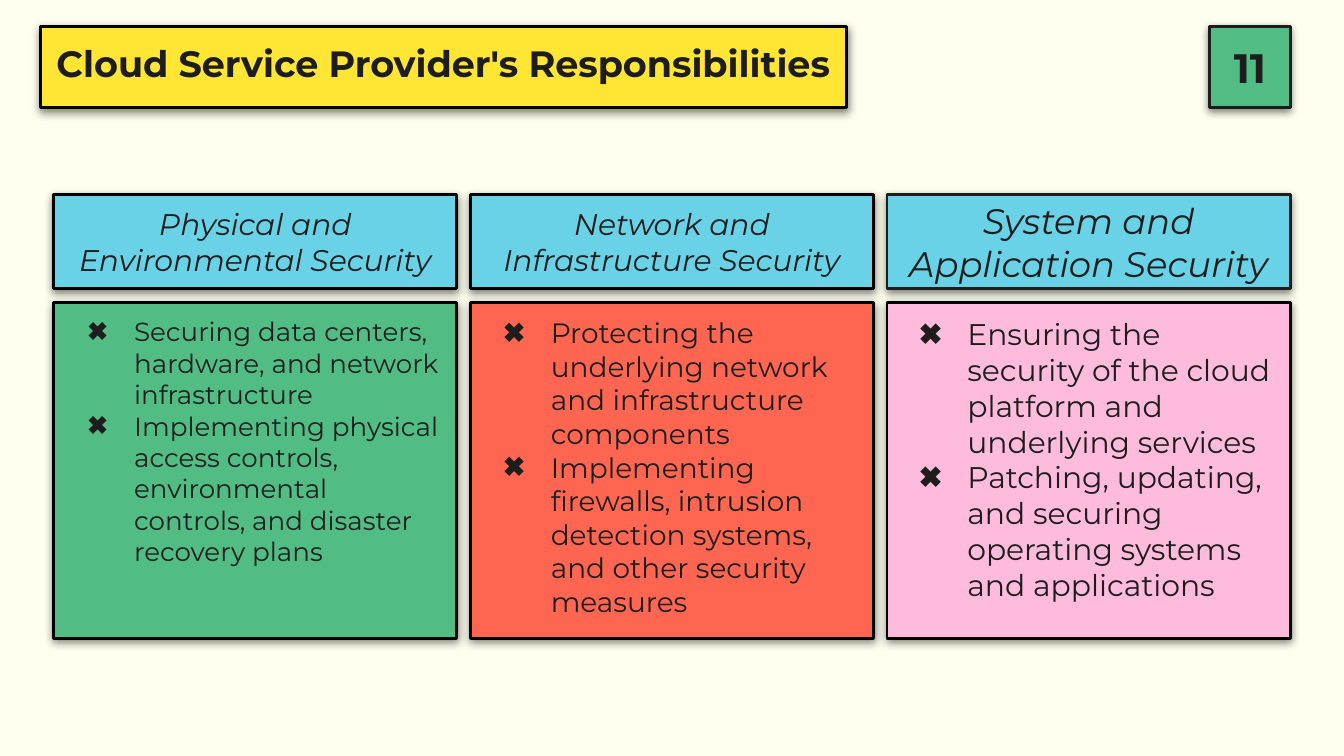
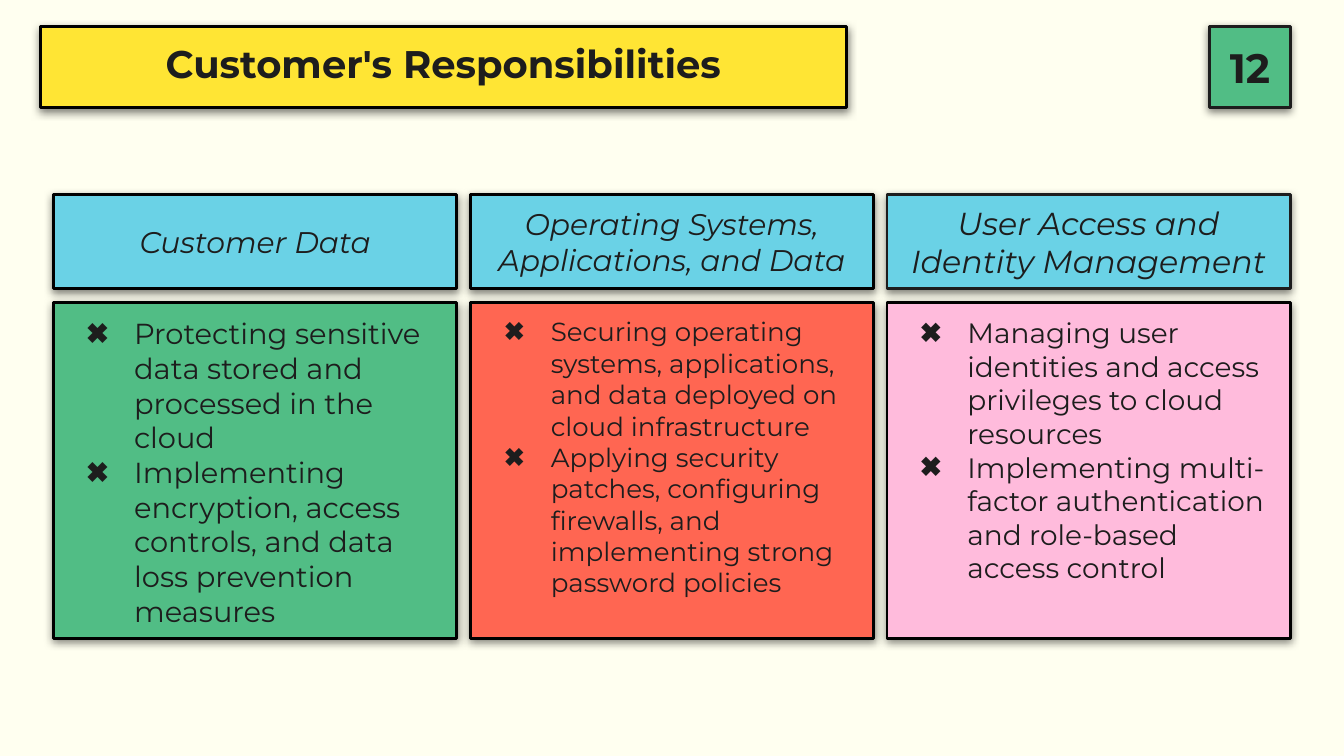
from dataclasses import dataclass

from lxml.etree import SubElement
from pptx import Presentation
from pptx.dml.color import RGBColor
from pptx.enum.shapes import MSO_SHAPE
from pptx.enum.text import MSO_ANCHOR, PP_ALIGN
from pptx.oxml.ns import qn
from pptx.util import Inches, Pt


@dataclass(frozen=True)
class Theme:
    font: str = "Montserrat"
    page: str = "FFFFF0"
    ink: str = "1D1D1D"
    edge: str = "000000"
    title: str = "FFE534"
    badge: str = "51BD85"
    head: str = "6AD2E6"
    cards: tuple = ("51BD85", "FF6652", "FFBBDC")
    head_edges: tuple = ("000000", "000000", "1D1D1D")
    badge_size: float = 22
    line: float = 1.5


THEME = Theme()
PAGE_WIDE = 10
PAGE_TALL = PAGE_WIDE * 9 / 16
LEFT, WIDE, GAP = 0.4, 3, 0.1
HEAD_TOP, HEAD_TALL, CARD_TALL = 1.45, 0.7, 2.5

# Each column: heading, heading size, points, point size
SLIDES = [
    ("11", "Cloud Service Provider's Responsibilities", 19.6, [
        ("Physical and Environmental Security", 16, [
            "Securing data centers, hardware, and network infrastructure",
            "Implementing physical access controls, environmental controls, "
            "and disaster recovery plans"], 14),
        ("Network and Infrastructure Security", 16, [
            "Protecting the underlying network and infrastructure components",
            "Implementing firewalls, intrusion detection systems, "
            "and other security measures"], 15),
        ("System and Application Security", 19, [
            "Ensuring the security of the cloud platform and underlying services",
            "Patching, updating, and securing operating systems "
            "and applications"], 16),
    ]),
    ("12", "Customer's Responsibilities", 20.6, [
        ("Customer Data", 16, [
            "Protecting sensitive data stored and processed in the cloud",
            "Implementing encryption, access controls, "
            "and data loss prevention measures"], 15.5),
        ("Operating Systems, Applications, and Data", 16, [
            "Securing operating systems, applications, and data deployed "
            "on cloud infrastructure",
            "Applying security patches, configuring firewalls, "
            "and implementing strong password policies"], 14),
        ("User Access and Identity Management", 17, [
            "Managing user identities and access privileges to cloud resources",
            "Implementing multi-factor authentication "
            "and role-based access control"], 15),
    ]),
]


def color(code):
    return RGBColor.from_string(code)


def add_shadow(shape):
    shape.shadow.inherit = False
    effects = shape.element.spPr.find(qn("a:effectLst"))
    outer = SubElement(effects, qn("a:outerShdw"), blurRad=str(Pt(4.5)),
                       dist=str(Pt(1.5)), dir="5400000", algn="bl", rotWithShape="0")
    black = SubElement(outer, qn("a:srgbClr"), val="000000")
    SubElement(black, qn("a:alpha"), val="50000")


def add_box(slide, area, fill, edge=THEME.edge):
    box = slide.shapes.add_shape(MSO_SHAPE.RECTANGLE, *map(Inches, area))
    box.fill.solid()
    box.fill.fore_color.rgb = color(fill)
    box.line.color.rgb = color(edge)
    box.line.width = Pt(THEME.line)
    add_shadow(box)
    frame = box.text_frame
    frame.word_wrap = True
    frame.margin_left = frame.margin_right = Inches(0.1)
    frame.margin_top = frame.margin_bottom = Inches(0.1)
    return frame


def set_font(para, size, bold=False, italic=False):
    font = para.font
    font.name, font.size = THEME.font, Pt(size)
    font.bold, font.italic = bold, italic
    font.color.rgb = color(THEME.ink)


def add_label(frame, text, size, bold=False, italic=False):
    """Write one centred paragraph and return it."""
    frame.vertical_anchor = MSO_ANCHOR.MIDDLE
    para = frame.paragraphs[0]
    para.text = text
    para.alignment = PP_ALIGN.CENTER
    set_font(para, size, bold, italic)
    return para


def add_bullet(para, size):
    """Hang a cross mark, with more room for larger text."""
    props = para._p.get_or_add_pPr()
    props.set("marL", str(Inches(0.5)))
    props.set("indent", str(-Inches(0.25 + size / 144)))
    tint = SubElement(props, qn("a:buClr"))
    SubElement(tint, qn("a:srgbClr"), val=THEME.ink)
    SubElement(props, qn("a:buFont"), typeface=THEME.font)
    SubElement(props, qn("a:buChar"), char="✖")


def add_points(frame, points, size):
    frame.vertical_anchor = MSO_ANCHOR.TOP
    for n, point in enumerate(points):
        para = frame.add_paragraph() if n else frame.paragraphs[0]
        para.text = point
        para.alignment = PP_ALIGN.LEFT
        add_bullet(para, size)
        set_font(para, size)


def add_column(slide, n, head, head_size, points, size):
    left = LEFT + n * (WIDE + GAP)
    top = HEAD_TOP + HEAD_TALL + GAP
    card = add_box(slide, (left, top, WIDE, CARD_TALL), THEME.cards[n])
    add_points(card, points, size)
    label = add_box(slide, (left, HEAD_TOP, WIDE, HEAD_TALL),
                    THEME.head, THEME.head_edges[n])
    add_label(label, head, head_size, italic=True)


def add_slide(deck, number, title, size, columns):
    slide = deck.slides.add_slide(deck.slide_layouts[6])
    slide.background.fill.solid()
    slide.background.fill.fore_color.rgb = color(THEME.page)
    badge = add_box(slide, (9, 0.2, 0.6, 0.6), THEME.badge, THEME.ink)
    add_label(badge, number, THEME.badge_size, bold=True)
    band = add_box(slide, (0.3, 0.2, 6, 0.6), THEME.title)
    add_label(band, title, size, bold=True).line_spacing = 0.8
    for n, column in enumerate(columns):
        add_column(slide, n, *column)


def main():
    deck = Presentation()
    deck.slide_width, deck.slide_height = Inches(PAGE_WIDE), Inches(PAGE_TALL)
    for content in SLIDES:
        add_slide(deck, *content)
    deck.save("out.pptx")


if __name__ == "__main__":
    main()
